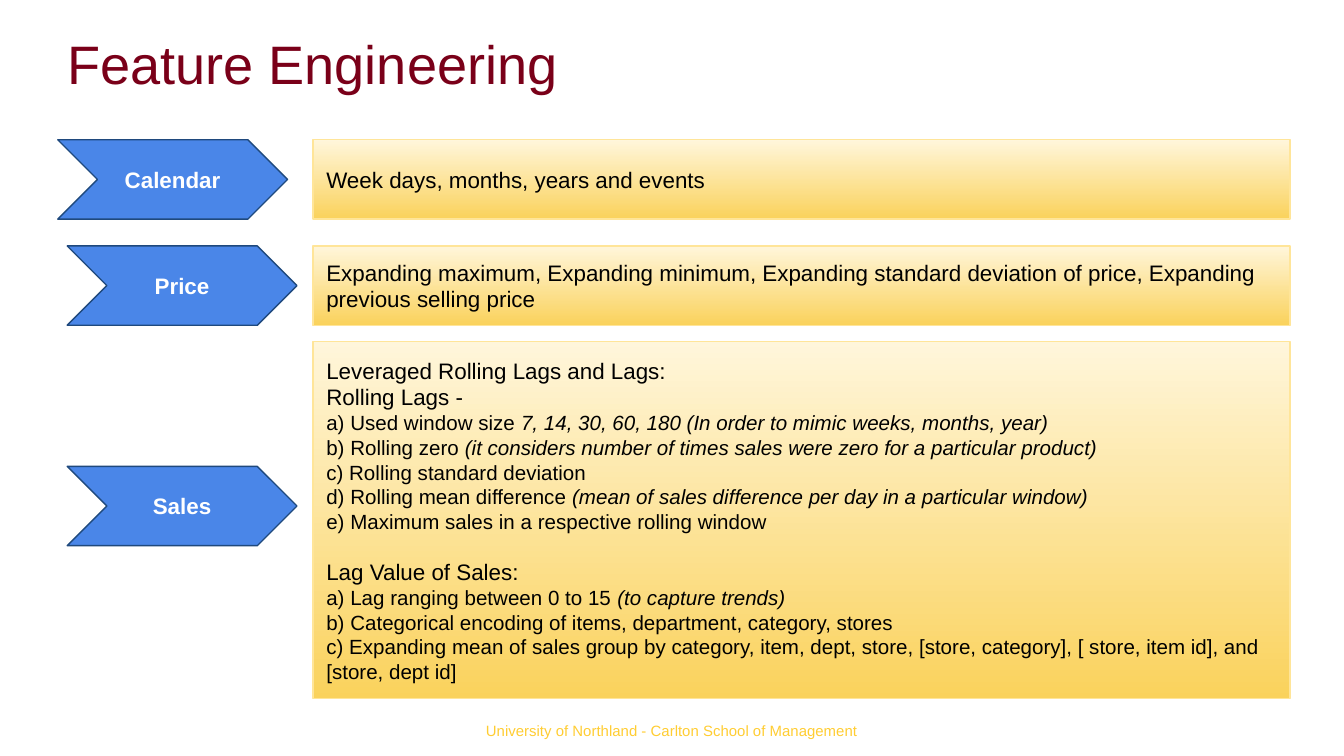
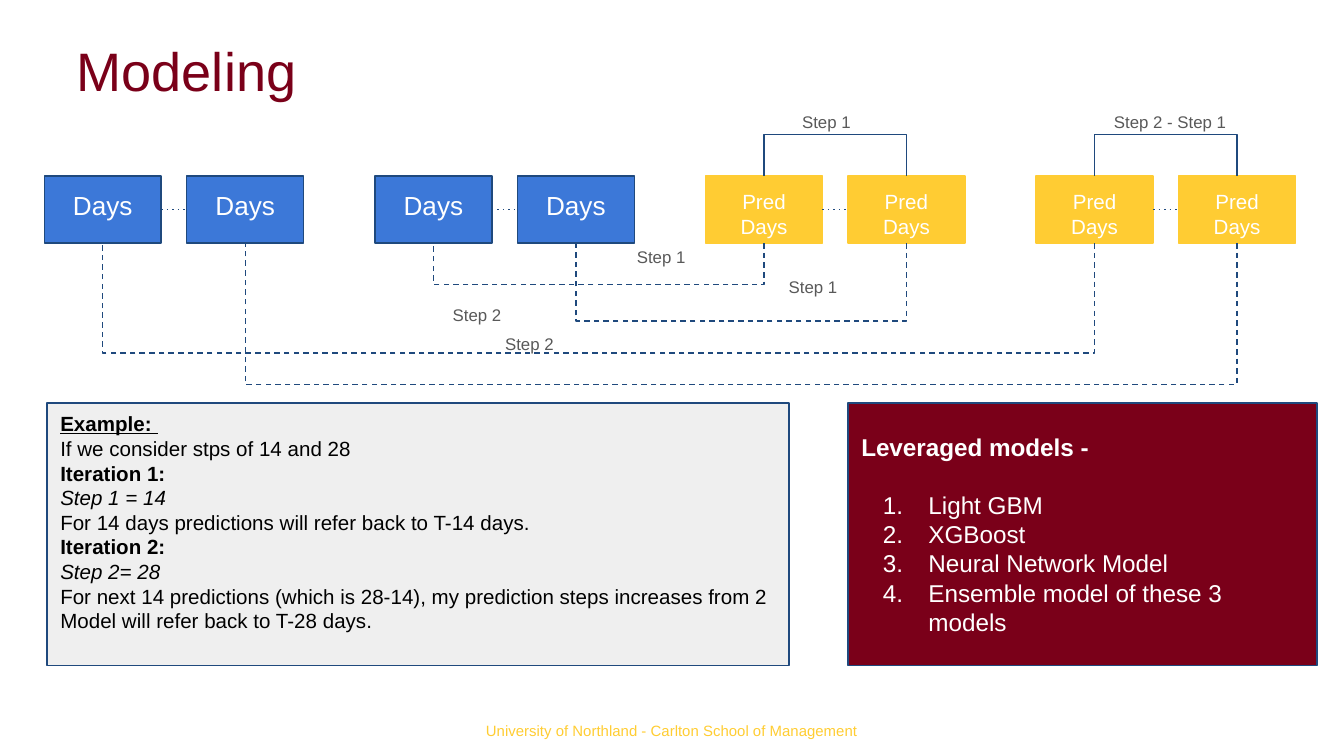
from dataclasses import dataclass

from lxml.etree import SubElement
from pptx import Presentation
from pptx.dml.color import RGBColor
from pptx.enum.dml import MSO_LINE
from pptx.enum.shapes import MSO_CONNECTOR, MSO_SHAPE
from pptx.enum.text import MSO_ANCHOR, MSO_AUTO_SIZE, PP_ALIGN
from pptx.oxml.ns import qn
from pptx.util import Inches, Pt


@dataclass(frozen=True)
class Theme:
    """Hold the colours and type sizes of the deck."""
    font: str = "Arial"
    maroon: str = "7A0019"
    gold: str = "FFCC33"
    foot: str = "FFCD32"
    navy: str = "1F497D"
    arrow: str = "4A86E8"
    blue: str = "3C78D8"
    pale: str = "FFF6DB"
    amber: str = "FAD25C"
    edge: str = "FFE599"
    grey: str = "595959"
    light: str = "EFEFEF"
    white: str = "FFFFFF"
    black: str = "000000"
    title: int = 29
    day: int = 14
    model: int = 13
    head: int = 12
    body: int = 11
    step: int = 9
    small: int = 8
    stroke: float = 0.75


THEME = Theme()


@dataclass(frozen=True)
class Line:
    """Describe one paragraph, with an italic tail if any."""
    text: str
    size: int = THEME.body
    tail: str = ""
    bold: bool = False
    slant: bool = False
    under: bool = False
    gap: float = 0
    count: bool = False


FOOT = "University of Northland - Carlton School of Management"
SALES = [
    Line("Leveraged Rolling Lags and Lags:", THEME.head),
    Line("Rolling Lags -", THEME.head),
    Line("a) Used window size ",
         tail="7, 14, 30, 60, 180 (In order to mimic weeks, months, year)"),
    Line("b) Rolling zero ",
         tail="(it considers number of times sales were zero for a particular product)"),
    Line("c) Rolling standard deviation"),
    Line("d) Rolling mean difference",
         tail=" (mean of sales difference per day in a particular window)"),
    Line("e) Maximum sales in a respective rolling window"),
    Line("Lag Value of Sales:", THEME.head, gap=13),
    Line("a) Lag ranging between 0 to 15 ", tail="(to capture trends)"),
    Line("b) Categorical encoding of items, department, category, stores"),
    Line("c) Expanding mean of sales group by category, item, dept, store, "
         "[store, category], [ store, item id], and [store, dept id]"),
]
ROWS = [
    ("Calendar", 0.43, 1.04, 1.04, 0.59,
     [Line("Week days, months, years and events", THEME.head)]),
    ("Price", 0.5, 1.83, 1.83, 0.59,
     [Line("Expanding maximum, Expanding minimum, Expanding standard deviation "
           "of price, Expanding previous selling price", THEME.head)]),
    ("Sales", 0.5, 3.47, 2.54, 2.66, SALES),
]
CASE = [
    Line("Example: ", bold=True, under=True),
    Line("If we consider stps of 14 and 28"),
    Line("Iteration 1:", bold=True),
    Line("Step 1 = 14", slant=True),
    Line("For 14 days predictions will refer back to T-14 days."),
    Line("Iteration 2:", bold=True),
    Line("Step 2= 28", slant=True),
    Line("For next 14 predictions (which is 28-14), my prediction steps increases from 2"),
    Line("Model will refer back to T-28 days."),
]
MODELS = [Line("Leveraged models -", THEME.model, bold=True)] + [
    Line(name, THEME.model, count=True, gap=0 if rank else 15.5)
    for rank, name in enumerate(["Light GBM", "XGBoost", "Neural Network Model",
                                 "Ensemble model of these 3 models"])
]
TOPS = [("Step 1", 5.87, 0.87), ("Step 2 - Step 1", 8.19, 1.06)]
STEPS = [
    ("Step 1", 4.64, 1.76),
    ("Step 1", 5.77, 1.98),
    ("Step 2", 3.27, 2.19),
    ("Step 2", 3.66, 2.41),
]
LOOPS = [(2, 4, 0.26), (3, 5, 0.49), (0, 6, 0.69), (1, 7, 0.89)]


def paint(name):
    """Turn a hex name into a colour."""
    return RGBColor.from_string(name)


def style(run, line, hue, slant):
    """Format one run."""
    font = run.font
    font.name, font.size = THEME.font, Pt(line.size)
    font.bold, font.italic, font.underline = line.bold, slant, line.under
    font.color.rgb = paint(hue)


def number(para, hue):
    """Give a paragraph an automatic number."""
    props = para._p.get_or_add_pPr()
    props.set("marL", str(Inches(0.5)))
    props.set("indent", str(-Inches(0.34)))
    tint = SubElement(props, qn("a:buClr"))
    SubElement(tint, qn("a:srgbClr")).set("val", hue)
    SubElement(props, qn("a:buFont")).set("typeface", THEME.font)
    SubElement(props, qn("a:buAutoNum")).set("type", "arabicPeriod")


def write(shape, lines, hue, align=PP_ALIGN.LEFT, anchor=MSO_ANCHOR.MIDDLE,
          pads=(0.1, 0.1, 0.1, 0.1)):
    """Fill a shape with formatted lines."""
    frame = shape.text_frame
    frame.text = "\n".join(line.text for line in lines)
    frame.word_wrap = True
    frame.auto_size = MSO_AUTO_SIZE.NONE
    frame.vertical_anchor = anchor
    frame.margin_left, frame.margin_top, frame.margin_right, frame.margin_bottom = map(Inches, pads)
    for para, line in zip(frame.paragraphs, lines):
        para.alignment = align
        para.space_before = Pt(line.gap)
        style(para.runs[0], line, hue, line.slant)
        if line.tail:
            run = para.add_run()
            run.text = line.tail
            style(run, line, hue, True)
        if line.count:
            number(para, hue)


def block(slide, kind, spot, fill, edge):
    """Draw a filled shape; two fill colours make a gradient."""
    shape = slide.shapes.add_shape(kind, *map(Inches, spot))
    shape.shadow.inherit = False
    if isinstance(fill, tuple):
        shape.fill.gradient()
        shape.fill.gradient_angle = 270
        for stop, hue in zip(shape.fill.gradient_stops, fill):
            stop.color.rgb = paint(hue)
    else:
        shape.fill.solid()
        shape.fill.fore_color.rgb = paint(fill)
    shape.line.color.rgb = paint(edge)
    shape.line.width = Pt(THEME.stroke)
    return shape


def label(slide, spot, line, hue, align=PP_ALIGN.LEFT, grow=True):
    """Add a plain text box."""
    box = slide.shapes.add_textbox(*map(Inches, spot))
    write(box, [line], hue, align, MSO_ANCHOR.TOP)
    if grow:
        box.text_frame.auto_size = MSO_AUTO_SIZE.SHAPE_TO_FIT_TEXT


def join(slide, kind, start, end, sides, dash=None):
    """Join two boxes with a line."""
    link = slide.shapes.add_connector(kind, 0, 0, 0, 0)
    link.begin_connect(start, sides[0])
    link.end_connect(end, sides[1])
    link.line.color.rgb = paint(THEME.navy)
    link.line.width = Pt(THEME.stroke)
    if dash:
        link.line.dash_style = MSO_LINE.DASH
        next(link.element.iter(qn("a:prstDash"))).set("val", dash)
    SubElement(link.element.spPr, qn("a:effectLst"))
    return link


def loop(slide, left, right, depth, above=False):
    """Join two boxes with a square loop above or below them."""
    ends, side = ((left, right), 0) if above else ((right, left), 2)
    dash = None if above else "dash"
    link = join(slide, MSO_CONNECTOR.ELBOW, *ends, (side, side), dash)
    thin, span = Inches(0.01) // 15, right.left - left.left
    level = left.top if above else left.top + left.height
    link.left = left.left + (left.width + span - thin) // 2
    link.top = level - span // 2
    link.width, link.height = thin, span
    props = link.element.spPr
    frame = props.find(qn("a:xfrm"))
    frame.set("rot", str((270 if above else 90) * 60000))
    frame.set("flipH", "1" if above else "0")
    frame.set("flipV", "0")
    bend = round(Inches(depth) / thin * 100000) * (-1 if above else 1)
    guide = SubElement(props.find(qn("a:prstGeom")).find(qn("a:avLst")), qn("a:gd"))
    guide.set("name", "adj1")
    guide.set("fmla", f"val {bend}")


def start(deck, text, left, top):
    """Add a slide with its title and footer."""
    slide = deck.slides.add_slide(deck.slide_layouts[5])
    title = slide.shapes.title
    title.left, title.top, title.width, title.height = map(Inches, (left, top, 9, 0.94))
    write(title, [Line(text, THEME.title)], THEME.maroon, pads=(0.07, 0.04, 0.07, 0.04))
    label(slide, (0, 5.3, 10, 0.34), Line(FOOT, THEME.small, gap=4.8), THEME.foot,
          PP_ALIGN.CENTER)
    return slide


def traits(deck):
    """Build the feature slide."""
    slide = start(deck, "Feature Engineering", 0.43, 0)
    for name, left, top, high, tall, lines in ROWS:
        arrow = block(slide, MSO_SHAPE.CHEVRON, (left, top, 1.71, 0.59),
                      THEME.arrow, THEME.navy)
        write(arrow, [Line(name, THEME.head, bold=True)], THEME.white, PP_ALIGN.CENTER)
        panel = block(slide, MSO_SHAPE.RECTANGLE, (2.33, high, 7.27, tall),
                      (THEME.pale, THEME.amber), THEME.edge)
        write(panel, lines, THEME.black)


def models(deck):
    """Build the model slide."""
    slide = start(deck, "Modeling", 0.5, 0.05)
    days = []
    for place in range(8):
        pair, half = divmod(place, 2)
        past = pair < 2
        text, size = ("Days", THEME.day) if past else ("Pred Days", THEME.body)
        fill, edge = (THEME.blue, THEME.navy) if past else (THEME.gold, THEME.gold)
        spot = (0.33 + 2.46 * pair + 1.06 * half, 1.31, 0.87, 0.5)
        day = block(slide, MSO_SHAPE.RECTANGLE, spot, fill, edge)
        write(day, [Line(text, size)], THEME.white, PP_ALIGN.CENTER, MSO_ANCHOR.TOP)
        days.append(day)
    for left, right in zip(days[::2], days[1::2]):
        join(slide, MSO_CONNECTOR.STRAIGHT, left, right, (3, 1), "dot")
    for left, right in zip(days[4::2], days[5::2]):
        loop(slide, left, right, 0.26, above=True)
    for left, right, depth in LOOPS:
        loop(slide, days[left], days[right], depth)
    for text, left, wide in TOPS:
        label(slide, (left, 0.73, wide, 0.26), Line(text, THEME.step), THEME.grey, grow=False)
    for text, left, top in STEPS:
        label(slide, (left, top, 0.69, 0.35), Line(text, THEME.step), THEME.grey)
    case = block(slide, MSO_SHAPE.RECTANGLE, (0.35, 3, 5.52, 1.95), THEME.light, THEME.navy)
    write(case, CASE, THEME.black, pads=(0.1, 0.1, 0.1, 0.28))
    panel = block(slide, MSO_SHAPE.RECTANGLE, (6.31, 3, 3.49, 1.95), THEME.maroon, THEME.navy)
    write(panel, MODELS, THEME.white)


def main():
    """Build and save the deck."""
    deck = Presentation()
    deck.slide_width = Inches(10)
    deck.slide_height = Inches(10) * 9 // 16
    traits(deck)
    models(deck)
    deck.save("out.pptx")


if __name__ == "__main__":
    main()
